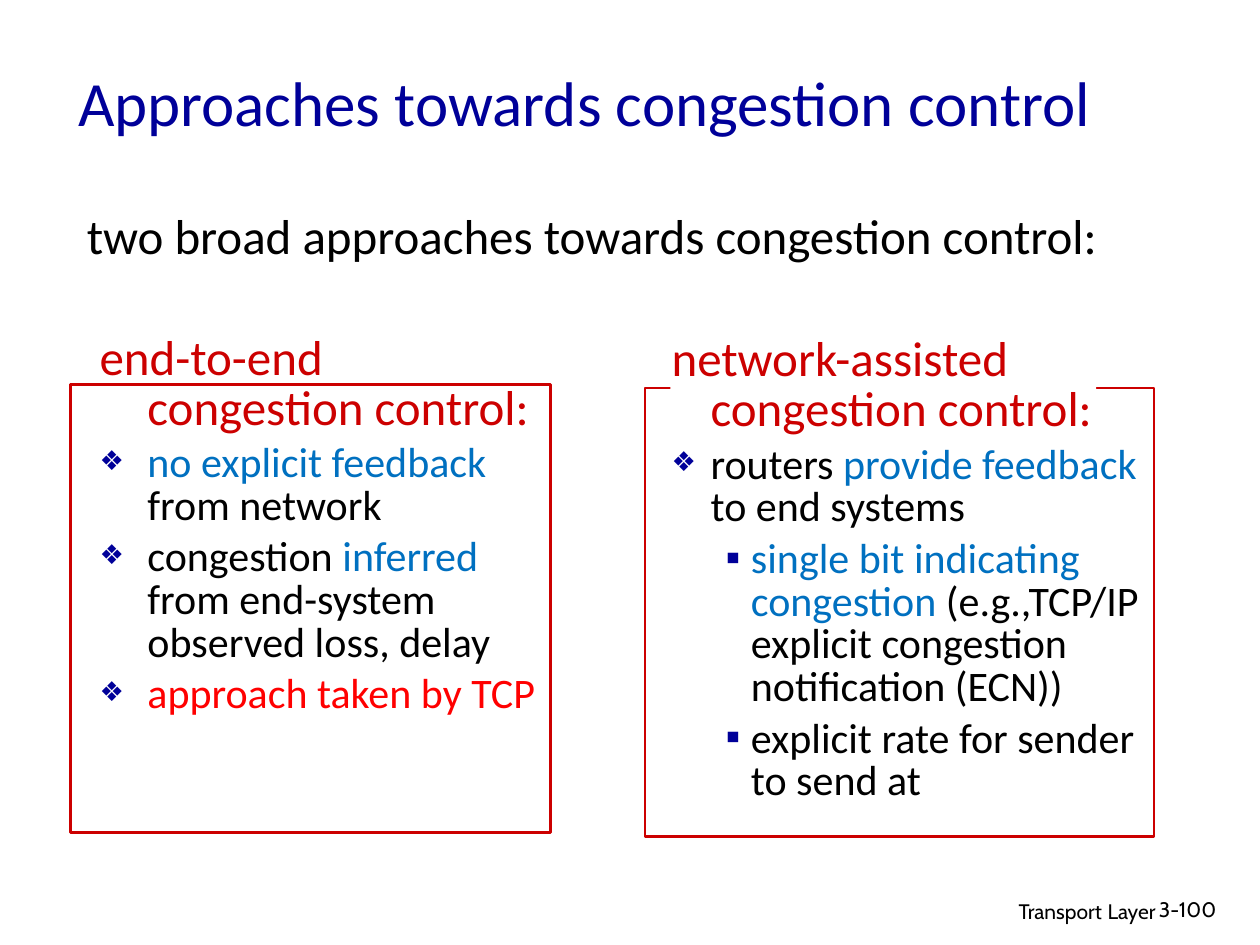
from lxml.etree import SubElement
from pptx import Presentation
from pptx.dml.color import RGBColor
from pptx.enum.shapes import MSO_SHAPE
from pptx.enum.text import MSO_ANCHOR, MSO_AUTO_SIZE, PP_ALIGN
from pptx.oxml.ns import qn
from pptx.util import Inches, Pt

WIDTH, HEIGHT = Inches(10), Inches(7.5)
COLUMNS, ROWS = 100, 75
COLORS = {
    "navy": "000099",
    "crimson": "CC0000",
    "blue": "0070C0",
    "red": "FF0000",
    "black": "000000",
    "white": "FFFFFF",
}
DIAMOND, SQUARE = ("❖", 65), ("▪", 100)


def color(name):
    return RGBColor.from_string(COLORS[name])


def grid(left, top, columns, rows):
    across, down = WIDTH / COLUMNS, HEIGHT / ROWS
    return (round(left * across), round(top * down),
            round(columns * across), round(rows * down))


def place(placeholder, *cells):
    placeholder.left, placeholder.top, placeholder.width, placeholder.height = grid(*cells)
    return placeholder


def set_bullet(paragraph, bullet):
    properties = paragraph._p.get_or_add_pPr()
    if bullet is None:
        SubElement(properties, qn("a:buNone"))
        return
    symbol, percent = bullet
    tint = SubElement(properties, qn("a:buClr"))
    SubElement(tint, qn("a:srgbClr"), val=COLORS["navy"])
    SubElement(properties, qn("a:buSzPct"), val=str(percent * 1000))
    SubElement(properties, qn("a:buChar"), char=symbol)


def write(paragraph, *runs, size=24, font="Calibri", align=PP_ALIGN.LEFT,
          bullet=None, level=0, margin=0, hanging=0, spacing=None, before=0):
    set_bullet(paragraph, bullet)
    properties = paragraph._p.get_or_add_pPr()
    properties.set("marL", str(Inches(margin)))
    properties.set("indent", str(-Inches(hanging)))
    paragraph.level = level
    paragraph.alignment = align
    paragraph.space_before = Pt(before)
    if spacing:
        paragraph.line_spacing = spacing
    for words, tint, *own_size in runs:
        run = paragraph.add_run()
        run.text = words
        run.font.name = font
        run.font.size = Pt(own_size[0] if own_size else size)
        run.font.color.rgb = color(tint)


def add_label(slide, cells, *runs, **style):
    label = slide.shapes.add_textbox(*grid(*cells))
    label.text_frame.word_wrap = True
    write(label.text_frame.paragraphs[0], *runs, **style)


def add_panel(slide, cells, fill=None, line=None):
    panel = slide.shapes.add_shape(MSO_SHAPE.RECTANGLE, *grid(*cells))
    panel.shadow.inherit = False
    if fill:
        panel.fill.solid()
        panel.fill.fore_color.rgb = color(fill)
    else:
        panel.fill.background()
    if line:
        panel.line.color.rgb = color(line)
        panel.line.width = Pt(1.5)
    else:
        panel.line.fill.background()


def fill_approach(slide, body, cells, hanging, heading, points):
    slide.shapes._spTree.append(body._element)
    frame = place(body, *cells).text_frame
    frame.auto_size = MSO_AUTO_SIZE.NONE
    frame.vertical_anchor = MSO_ANCHOR.TOP
    write(frame.paragraphs[0], (heading, "crimson"), size=28,
          margin=hanging, hanging=hanging, spacing=0.85)
    for level, runs in points:
        indent = (0.63, 0.2) if level else (hanging, hanging)
        write(frame.add_paragraph(), *runs, level=level,
              bullet=SQUARE if level else DIAMOND,
              margin=indent[0], hanging=indent[1], spacing=0.85, before=4.8)


def main():
    deck = Presentation()
    deck.slide_width, deck.slide_height = WIDTH, HEIGHT
    slide = deck.slides.add_slide(deck.slide_layouts[3])
    title, end_to_end, network_assisted = slide.placeholders

    place(title, 5.2, 3, 85, 10)
    title.text_frame.auto_size = MSO_AUTO_SIZE.NONE
    title.text_frame.vertical_anchor = MSO_ANCHOR.MIDDLE
    write(title.text_frame.paragraphs[0],
          ("Approaches towards congestion control", "navy"), size=36)

    add_label(slide, (61, 70.5, 31.7, 3.1), ("Transport", "black"),
              (" ", "black", 14), ("Layer", "black"),
              size=12, font="Cabin", align=PP_ALIGN.RIGHT)
    add_label(slide, (91, 70.7, 7.4, 3), ("3-100", "black"), size=12, font="Cabin")
    add_label(slide, (5.9, 16.5, 89.2, 6),
              ("two broad approaches towards congestion control:", "black"),
              size=28, margin=0.38, hanging=0.38, spacing=0.85)

    add_panel(slide, (5.6, 30.5, 38.1, 35.6), line="crimson")
    add_panel(slide, (51.2, 30.8, 40.4, 35.6), line="crimson")
    add_panel(slide, (53.2, 27.9, 33.8, 6.2), fill="white")

    fill_approach(slide, end_to_end, (6.9, 26.1, 37.3, 41.7), 0.38,
                  "end-to-end congestion control:", [
        (0, [("no explicit feedback ", "blue"), ("from network", "black")]),
        (0, [("congestion ", "black"), ("inferred", "blue"),
             (" from end-system observed loss, delay", "black")]),
        (0, [("approach taken by TCP", "red")]),
    ])
    fill_approach(slide, network_assisted, (52.3, 26.2, 42.3, 42.7), 0.31,
                  "network-assisted congestion control:", [
        (0, [("routers ", "black"), ("provide feedback ", "blue"),
             ("to end systems", "black")]),
        (1, [("single bit indicating congestion ", "blue"),
             ("(e.g.,TCP/IP explicit congestion notification (ECN))", "black")]),
        (1, [("explicit rate for sender to send at", "black")]),
    ])
    deck.save("out.pptx")


if __name__ == "__main__":
    main()
